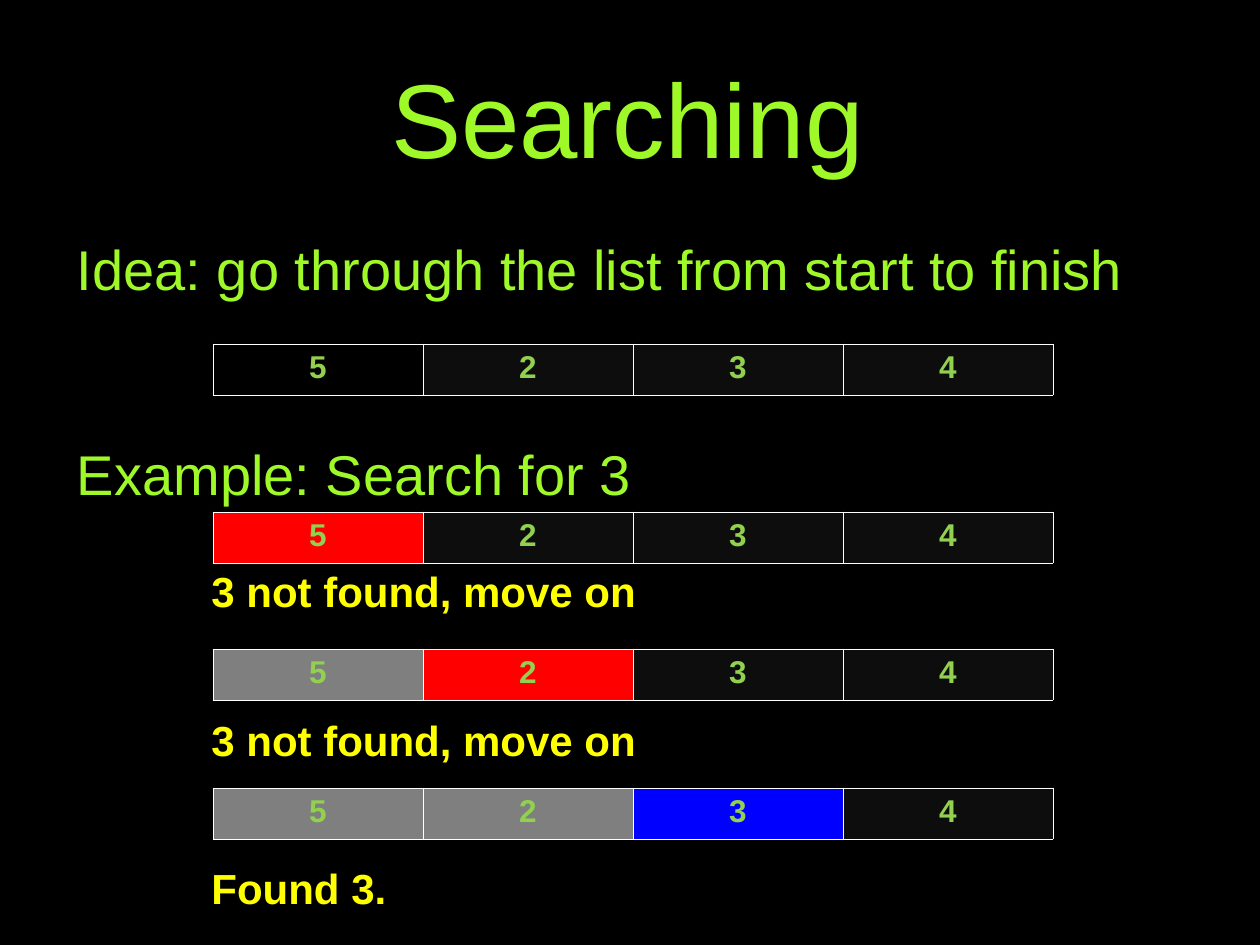
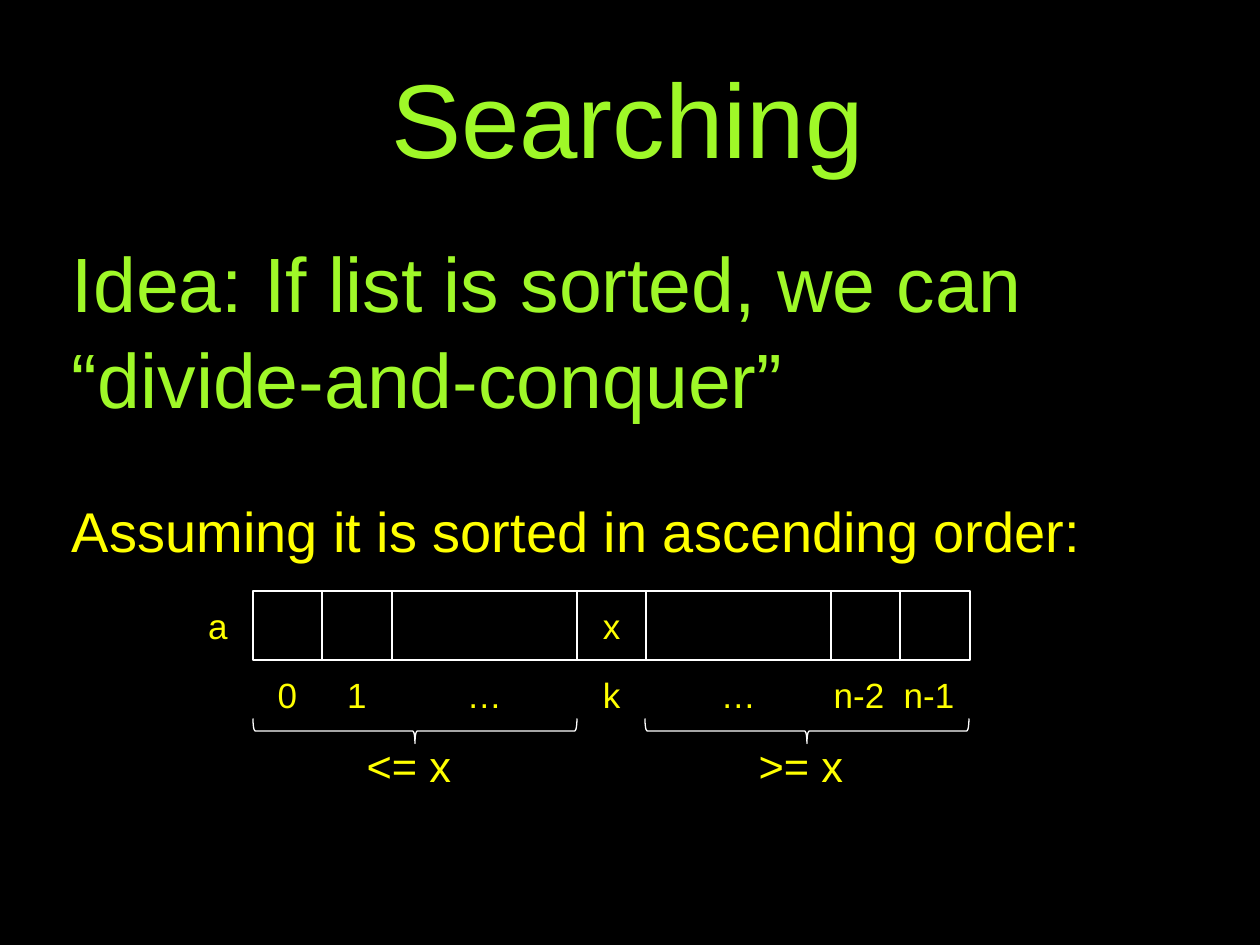
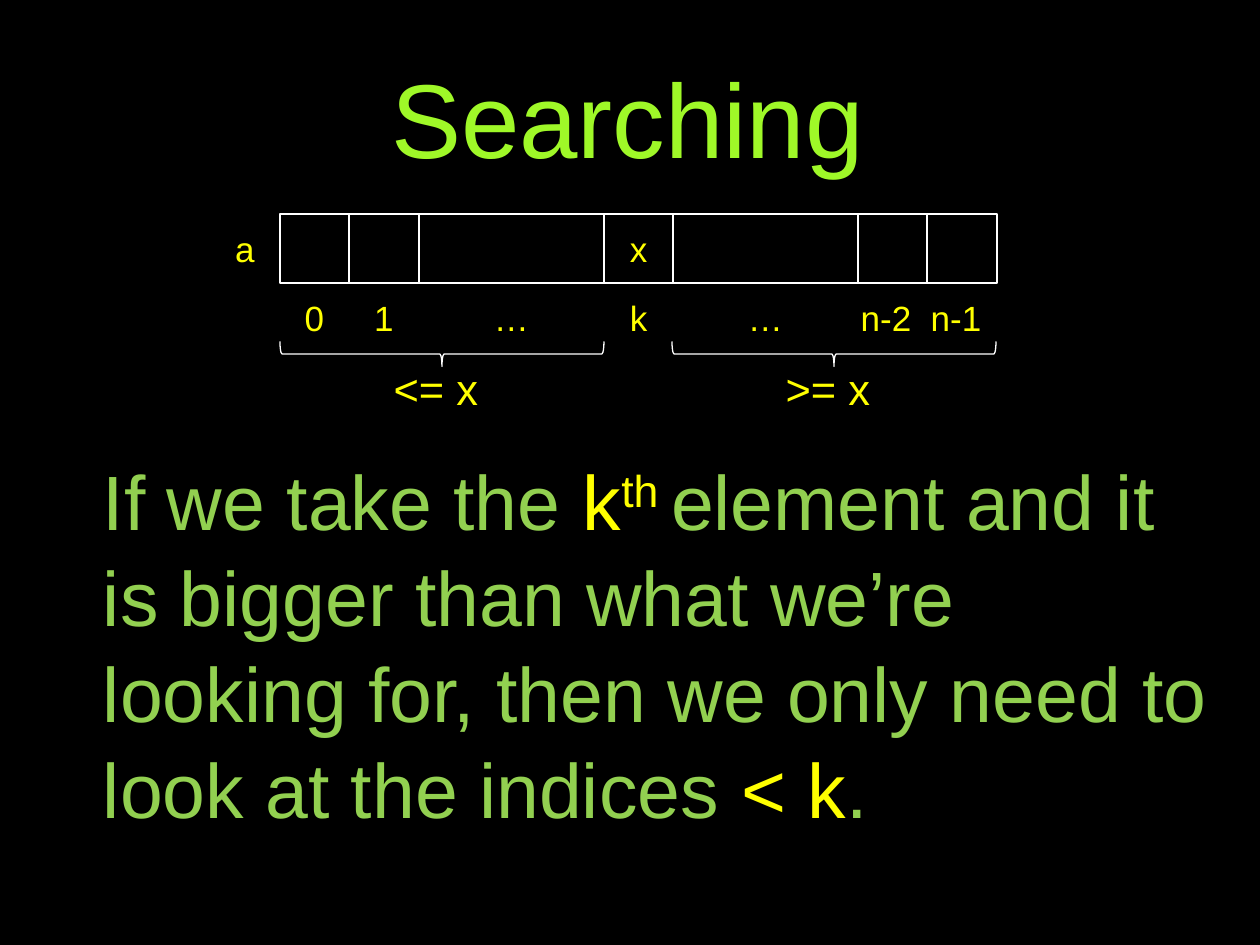
from itertools import accumulate

from lxml import etree
from pptx import Presentation
from pptx.dml.color import RGBColor
from pptx.enum.shapes import MSO_SHAPE
from pptx.enum.text import MSO_ANCHOR, MSO_AUTO_SIZE, PP_ALIGN
from pptx.oxml.ns import qn
from pptx.util import Emu, Pt

RECT, BRACE = MSO_SHAPE.RECTANGLE, MSO_SHAPE.LEFT_BRACE
TOP, MIDDLE = MSO_ANCHOR.TOP, MSO_ANCHOR.MIDDLE
LEFT, CENTER = PP_ALIGN.LEFT, PP_ALIGN.CENTER
NO_FIT = MSO_AUTO_SIZE.NONE

BLACK = RGBColor(0x00, 0x00, 0x00)
WHITE = RGBColor(0xFF, 0xFF, 0xFF)
LIME = RGBColor(0x9F, 0xF8, 0x28)
GREEN = RGBColor(0x92, 0xD0, 0x50)
YELLOW = RGBColor(0xFF, 0xFF, 0x00)
RED = RGBColor(0xFF, 0x00, 0x00)
BLUE = RGBColor(0x00, 0x00, 0xFF)
GRAY = RGBColor(0x7F, 0x7F, 0x7F)
DARK = RGBColor(0x0D, 0x0D, 0x0D)

FONT = "Arial"
EMU_PER_PX = 914400 / 126

# Searched list
LIST_VALUES = ["5", "2", "3", "4"]
LIST_LEFT, LIST_CELL_W, LIST_CELL_H = 213, 210, 51

# Sorted array diagram
CELL_H = 69
CELL_WIDTHS = [69, 70, 185, 69, 185, 69, 70]
CELL_TEXTS = ["", "", "", "x", "", "", ""]
INDEX_LABELS = ["0", "1", "…", "k", "…", "n-2", "n-1"]
MIN_LABEL_W = 82
BRACE_DEPTH = 25


def px(n):
    return Emu(round(n * EMU_PER_PX))


def place(s, x, y, w, h):
    s.left, s.top, s.width, s.height = px(x), px(y), px(w), px(h)


def add_run(p, text, size, color, bold=False, superscript=False):
    r = p.add_run()
    r.text = text
    f = r.font
    f.name, f.size, f.bold = FONT, Pt(size), bold
    f.color.rgb = color
    if superscript:
        f._element.set("baseline", "30000")


def set_frame(s, anchor):
    tf = s.text_frame
    tf.word_wrap = True
    tf.auto_size = NO_FIT
    tf.vertical_anchor = anchor
    return tf


def set_insets(tf):
    tf.margin_left = tf.margin_top = tf.margin_bottom = px(8)
    tf.margin_right = px(13)


def add_slide(prs):
    """Slide with the shared title."""
    slide = prs.slides.add_slide(prs.slide_layouts[1])
    title = slide.shapes.title
    place(title, 63, 9, 1134, 215)
    tf = set_frame(title, MIDDLE)
    set_insets(tf)
    p = tf.paragraphs[0]
    p.alignment = CENTER
    add_run(p, "Searching", 60, LIME)
    return slide


def fill_body(slide, box, paragraphs, indent=0):
    """Paragraphs are (space before in points, runs)."""
    body = slide.placeholders[1]
    place(body, *box)
    tf = set_frame(body, TOP)
    set_insets(tf)
    for i, (space, runs) in enumerate(paragraphs):
        p = tf.add_paragraph() if i else tf.paragraphs[0]
        p.line_spacing = 1.04
        p.space_before = Pt(space)
        pPr = p._p.get_or_add_pPr()
        pPr.set("marL", str(px(indent)))
        pPr.set("indent", "0")
        etree.SubElement(pPr, qn("a:buNone"))
        for run in runs:
            add_run(p, *run)


def add_text(slide, box, text, size, align=CENTER, anchor=MIDDLE, bold=False):
    s = slide.shapes.add_textbox(*map(px, box))
    p = set_frame(s, anchor).paragraphs[0]
    p.alignment = align
    add_run(p, text, size, YELLOW, bold)


def add_outline(slide, kind, x, y, w, h):
    s = slide.shapes.add_shape(kind, px(x), px(y), px(w), px(h))
    s.shadow.inherit = False
    s.fill.background()
    s.line.color.rgb = WHITE
    s.line.width = Pt(0.75)
    return s


def add_cell_borders(cell):
    tcPr = cell._tc.get_or_add_tcPr()
    for side in ("lnL", "lnR", "lnT", "lnB"):
        ln = etree.SubElement(tcPr, qn("a:" + side), w=str(Pt(0.45)))
        fill = etree.SubElement(ln, qn("a:solidFill"))
        etree.SubElement(fill, qn("a:srgbClr"), val=str(WHITE))


def add_list_table(slide, y, fills):
    n = len(LIST_VALUES)
    table = slide.shapes.add_table(1, n, px(LIST_LEFT), px(y),
                                   px(n * LIST_CELL_W), px(LIST_CELL_H)).table
    table.first_row = table.horz_banding = False
    for cell, value, fill in zip(table.rows[0].cells, LIST_VALUES, fills):
        add_cell_borders(cell)
        cell.fill.solid()
        cell.fill.fore_color.rgb = fill
        p = cell.text_frame.paragraphs[0]
        p.alignment = CENTER
        add_run(p, value, 18, GREEN, bold=True)


def add_range(slide, x, y, w, text):
    """Brace pointing down at a label; y is the middle of the brace."""
    s = add_outline(slide, BRACE, x + (w - BRACE_DEPTH) / 2, y - w / 2,
                    BRACE_DEPTH, w)
    s.rotation = 270
    add_text(slide, (x, y, w, CELL_H), text, 24.8)


def add_array(slide, left, top):
    edges = list(accumulate(CELL_WIDTHS, initial=left))
    add_text(slide, (left - 70, top, 70, CELL_H), "a", 20)
    for x, w, text, label in zip(edges, CELL_WIDTHS, CELL_TEXTS, INDEX_LABELS):
        add_outline(slide, RECT, x, top, w, CELL_H)
        if text:
            add_text(slide, (x, top, w, CELL_H), text, 20)
        label_w = max(w, MIN_LABEL_W) if len(label) > 1 else w
        add_text(slide, (x + w - label_w, top + CELL_H, label_w, CELL_H),
                 label, 20)
    half = edges[3] - left
    add_range(slide, left, top + 140, half, "<= x ")
    add_range(slide, edges[4] - 1, top + 140, half, ">= x ")


def linear_search_slide(prs):
    slide = add_slide(prs)
    fill_body(slide, (64, 224, 1134, 721), [
        (2, [("Idea: go through the list from start to finish", 32, LIME)]),
        (77, [("Example: Search for 3", 32, LIME)]),
    ], indent=5)
    for y, fills in [
        (344, (BLACK, DARK, DARK, DARK)),
        (512, (RED, DARK, DARK, DARK)),
        (649, (GRAY, RED, DARK, DARK)),
        (788, (GRAY, GRAY, BLUE, DARK)),
    ]:
        add_list_table(slide, y, fills)
    for y, caption in [(559, "3 not found, move on"),
                       (708, "3 not found, move on"),
                       (856, "Found 3.")]:
        add_text(slide, (199, y, 461, 63), caption, 24, LEFT, TOP, bold=True)


def sorted_list_slide(prs):
    slide = add_slide(prs)
    fill_body(slide, (64, 224, 1134, 721), [
        (2, [("Idea: If list is sorted, we can “divide-and-conquer”",
              44, LIME)]),
        (40, [("Assuming it is sorted in ascending order:", 32, YELLOW)]),
    ])
    add_array(slide, 253, 591)


def halving_slide(prs):
    slide = add_slide(prs)
    fill_body(slide, (95, 442, 1134, 473), [
        (2, [("If we take the ", 44, GREEN),
             ("k", 44, YELLOW),
             ("th ", 44, YELLOW, False, True),
             ("element and it is bigger than what we’re looking for, "
              "then we only need to look at the indices ", 44, GREEN),
             ("< k", 44, YELLOW),
             (".", 44, GREEN)]),
    ])
    add_array(slide, 280, 214)


def main():
    prs = Presentation()
    prs.slide_width, prs.slide_height = px(1260), px(945)
    background = prs.slide_master.background.fill
    background.solid()
    background.fore_color.rgb = BLACK
    linear_search_slide(prs)
    sorted_list_slide(prs)
    halving_slide(prs)
    prs.save("out.pptx")


if __name__ == "__main__":
    main()
